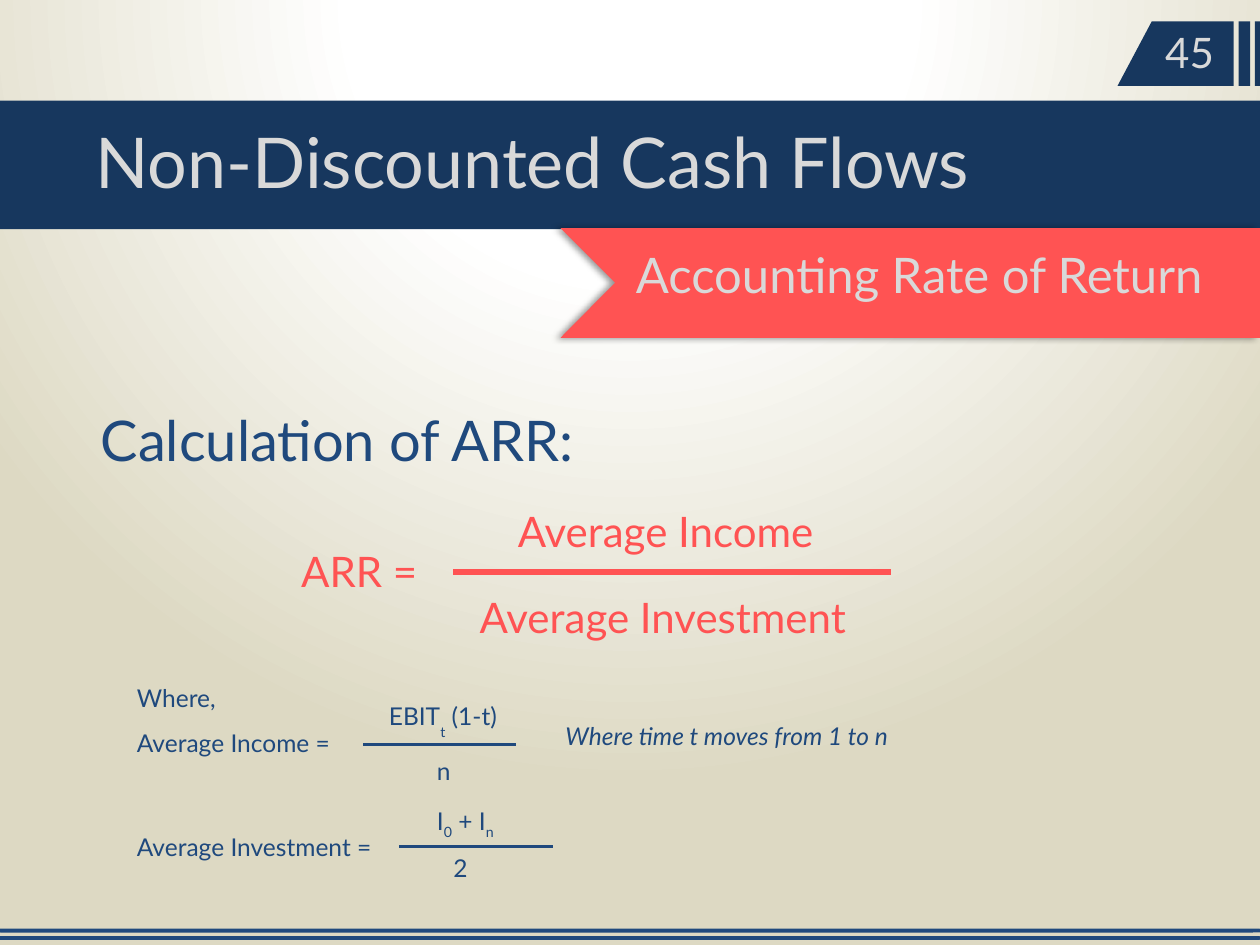
from dataclasses import dataclass

from lxml import etree
from pptx import Presentation
from pptx.dml.color import RGBColor
from pptx.enum.shapes import MSO_CONNECTOR, MSO_SHAPE
from pptx.enum.text import MSO_AUTO_SIZE, PP_ALIGN
from pptx.oxml import parse_xml
from pptx.oxml.ns import nsdecls, qn
from pptx.util import Cm, Pt

FONT = "Lato"
COLORS = {
    "navy": "17375E",
    "blue": "1F497D",
    "coral": "FF5353",
    "light": "D9D9D9",
    "white": "FFFFFF",
    "sand": "DDD9C3",
    "black": "000000",
}


@dataclass
class Label:
    """A text box in cm; pieces pair each bit of text with its baseline shift."""
    left: float
    top: float
    width: float
    pieces: tuple[tuple[str, int], ...]
    size: int = 14
    color: str = "blue"
    italic: bool = False
    spacing: float | None = None
    align: PP_ALIGN | None = None


@dataclass
class Bar:
    """A horizontal fraction bar in cm."""
    left: float
    right: float
    y: float
    color: str = "blue"
    weight: float = 1.5


def plain(text: str) -> tuple[tuple[str, int], ...]:
    """Return text as a single unshifted piece."""
    return ((text, 0),)


HEADINGS = [
    Label(12.57, 4.8, 12.83, plain("Accounting Rate of Return"), 28, "light"),
    Label(1.68, 2.26, 22.4, plain("Non-Discounted Cash Flows"), 40, "light"),
    Label(23.24, 0.41, 1.7, plain("45"), 24, "light"),
    Label(1.78, 7.37, 21.31, plain("Calculation of ARR:"), 32,
          spacing=1.5, align=PP_ALIGN.JUSTIFY),
    Label(2.51, 13.64, 2.87, plain("Where,")),
]
FORMULAS = [
    [
        Label(5.82, 10.87, 3.07, plain("ARR ="), 24, "coral"),
        Label(10.19, 10.06, 7.04, plain("Average Income"), 24, "coral"),
        Label(9.42, 11.79, 8.23, plain("Average Investment"), 24, "coral"),
        Bar(9.14, 17.96, 11.53, "coral", 3),
    ],
    [
        Label(2.51, 14.55, 4.83, plain("Average Income =")),
        Label(7.59, 14, 2.87, (("EBIT", 0), ("t", -50), (" (1-t)", 0))),
        Bar(7.32, 10.41, 15.01),
        Label(8.56, 15.11, 1.14, plain("n")),
        Label(11.15, 14.4, 9.86, plain("Where time t moves from 1 to n"), italic=True),
    ],
    [
        Label(2.51, 16.64, 5.74, plain("Average Investment =")),
        Label(8.56, 16.13, 1.91, (("I", 0), ("0", -25), (" + I", 0), ("n", -25))),
        Bar(8.05, 11.15, 17.07),
        Label(8.89, 17.07, 1.3, plain("2")),
    ],
]
TAB = [
    [(25.3, 0.43), (25.4, 0.43), (25.4, 1.73), (25.3, 1.73)],
    [(24.97, 0.43), (25.2, 0.43), (25.2, 1.73), (24.97, 1.73)],
    [(23.22, 0.43), (24.87, 0.43), (24.87, 1.73), (22.53, 1.73)],
]
RIBBON = [[(11.3, 4.6), (25.4, 4.6), (25.4, 6.81), (11.3, 6.81), (12.4, 5.7)]]


def rgb(name: str) -> RGBColor:
    """Look up a colour by name."""
    return RGBColor.from_string(COLORS[name])


def paint(sp, color: str) -> None:
    """Give a shape a flat fill without line or shadow."""
    sp.shadow.inherit = False
    sp.fill.solid()
    sp.fill.fore_color.rgb = rgb(color)
    sp.line.fill.background()


def add_box(shapes, kind: MSO_SHAPE, top: float, height: float, color: str) -> None:
    """Draw a full-width box."""
    sp = shapes.add_shape(kind, 0, Cm(top), Cm(25.4), Cm(height))
    paint(sp, color)


def add_outline(shapes, contours: list, color: str):
    """Draw closed contours as one freeform."""
    outlines = [[(Cm(x), Cm(y)) for x, y in contour] for contour in contours]
    fb = shapes.build_freeform(*outlines[0][0])
    fb.add_line_segments(outlines[0][1:])
    for outline in outlines[1:]:
        fb.move_to(*outline[0])
        fb.add_line_segments(outline[1:])
    sp = fb.convert_to_shape()
    paint(sp, color)
    return sp


def add_shadow(sp) -> None:
    """Add a soft outer shadow."""
    effects = sp.element.spPr.find(qn("a:effectLst"))
    effects.append(parse_xml(
        f'<a:outerShdw {nsdecls("a")} blurRad="{Pt(4)}" dist="{Pt(3)}" '
        f'dir="10800000" algn="r" rotWithShape="0"><a:srgbClr val="{COLORS["black"]}">'
        '<a:alpha val="40000"/></a:srgbClr></a:outerShdw>'))


def add_label(shapes, label: Label) -> None:
    """Draw a text box one line high."""
    height = Pt(label.size * 1.2) + Cm(0.25)
    sp = shapes.add_textbox(Cm(label.left), Cm(label.top), Cm(label.width), height)
    tf = sp.text_frame
    tf.word_wrap = True
    tf.auto_size = MSO_AUTO_SIZE.SHAPE_TO_FIT_TEXT
    p = tf.paragraphs[0]
    p.alignment = label.align
    p.line_spacing = label.spacing
    for text, baseline in label.pieces:
        r = p.add_run()
        r.text = text
        r.font.name = FONT
        r.font.size = Pt(label.size)
        r.font.color.rgb = rgb(label.color)
        if label.italic:
            r.font.italic = True
        if baseline:
            r._r.get_or_add_rPr().set("baseline", str(baseline * 1000))


def add_bar(shapes, bar: Bar) -> None:
    """Draw a fraction bar."""
    y = Cm(bar.y)
    sp = shapes.add_connector(MSO_CONNECTOR.STRAIGHT, Cm(bar.left), y, Cm(bar.right), y)
    sp.line.color.rgb = rgb(bar.color)
    sp.line.width = Pt(bar.weight)
    etree.SubElement(sp._element.spPr, qn("a:effectLst"))


def set_background(s) -> None:
    """Fill the background with a radial gradient centred above the slide."""
    s.background.fill.solid()
    bg = s.element.find(".//" + qn("p:bgPr"))
    stops = "".join(
        f'<a:gs pos="{pos * 1000}"><a:srgbClr val="{COLORS[name]}"/></a:gs>'
        for pos, name in ((0, "white"), (35, "white"), (100, "sand")))
    bg.replace(bg[0], parse_xml(
        f'<a:gradFill {nsdecls("a")} rotWithShape="1"><a:gsLst>{stops}</a:gsLst>'
        '<a:path path="circle"><a:fillToRect l="50000" t="-80000" r="50000" b="180000"/>'
        '</a:path></a:gradFill>'))


def main() -> None:
    """Build the slide."""
    prs = Presentation()
    prs.slide_width, prs.slide_height = Cm(25.4), Cm(19.05)
    s = prs.slides.add_slide(prs.slide_layouts[6])
    set_background(s)
    add_box(s.shapes, MSO_SHAPE.RECTANGLE, 2.03, 2.59, "navy")
    for top in (18.72, 18.87):
        add_box(s.shapes, MSO_SHAPE.ROUNDED_RECTANGLE, top, 0.08, "blue")
    add_outline(s.shapes, TAB, "navy")
    add_shadow(add_outline(s.shapes, RIBBON, "coral"))
    for label in HEADINGS:
        add_label(s.shapes, label)
    for formula in FORMULAS:
        group = s.shapes.add_group_shape()
        for item in formula:
            draw = add_bar if isinstance(item, Bar) else add_label
            draw(group.shapes, item)
    prs.save("out.pptx")


if __name__ == "__main__":
    main()
